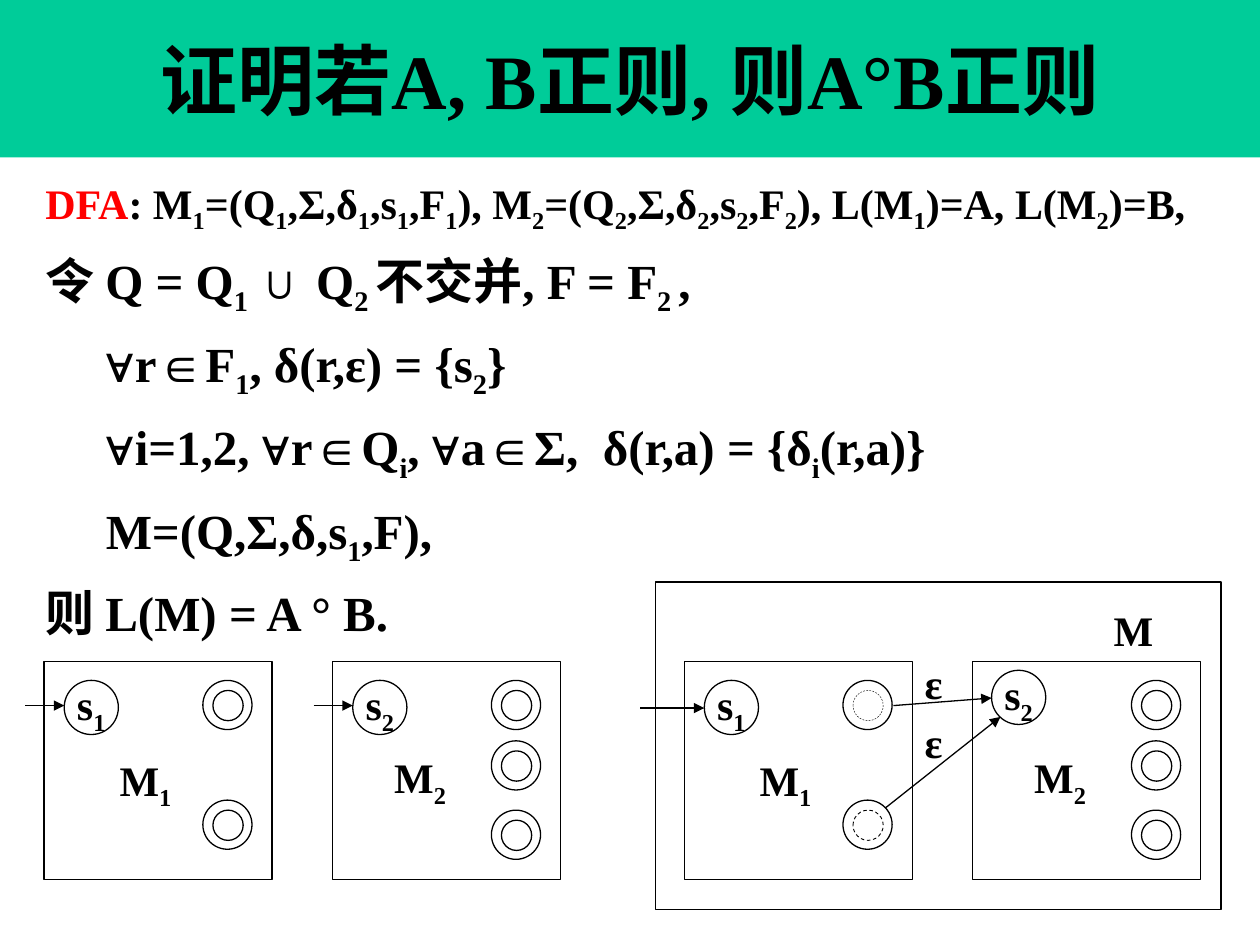
from pptx import Presentation
from pptx import util as u
from pptx.dml import color
from pptx.enum import dml, shapes, text
from pptx.oxml import ns, xmlchemy

FONT = "Times New Roman"
BLACK = "000000"
RECT, OVAL = shapes.MSO_SHAPE.RECTANGLE, shapes.MSO_SHAPE.OVAL
FRAME_SIZE = (1.81, 1.73)
LABEL = dict(word_wrap=False, auto_size=text.MSO_AUTO_SIZE.SHAPE_TO_FIT_TEXT)
INSIDE = dict(word_wrap=False, vertical_anchor=text.MSO_ANCHOR.MIDDLE,
              margin_left=0, margin_top=0, margin_right=0, margin_bottom=0)
BODY_LINES = [
    ("DFA", ": M|1|=(Q|1|,Σ,δ|1|,s|1|,F|1|), M|2|=(Q|2|,Σ,δ|2|,s|2|,F|2|), "
     "L(M|1|)=A, L(M|2|)=B,", 24, 0),
    ("", "令 Q = Q|1 |∪ Q|2 |不交并, F = F|2 |,", 28, 0),
    ("", "∀r∈F|1|, δ(r,ε) = {s|2|}", 28, 0.48),
    ("", "∀i=1,2, ∀r∈Q|i|, ∀a∈Σ,  δ(r,a) = {δ|i|(r,a)}", 28, 0.48),
    ("", "M=(Q,Σ,δ,s|1|,F),", 28, 0.48),
    ("", "则 L(M) = A ° B.", 28, 0),
]


def inches(*values):
    return [u.Inches(value) for value in values]


def rgb(code):
    return color.RGBColor.from_string(code)


def apply(target, values):
    for name, value in values.items():
        setattr(target, name, value)


def add_span(para, words, size, code=BLACK, lowered=False):
    span = para.add_run()
    span.text = words
    apply(span.font, dict(name=FONT, size=u.Pt(size), bold=True))
    span.font.color.rgb = rgb(code)
    if lowered:
        span.font._element.set("baseline", "-25000")


def add_formula(para, formula, size):
    for index, words in enumerate(formula.split("|")):
        if words:
            add_span(para, words, size, lowered=index % 2 == 1)


def add_percent_spacing(para, before, after):
    properties = para._p.get_or_add_pPr()
    for tag, percent in (("a:spcBef", before), ("a:spcAft", after)):
        spacing = xmlchemy.OxmlElement(tag)
        amount = xmlchemy.OxmlElement("a:spcPct")
        amount.set("val", str(percent * 1000))
        spacing.append(amount)
        properties.append(spacing)


def add_label(canvas, left, top, width, height, formula):
    box = canvas.add_textbox(*inches(left, top, width, height))
    apply(box.text_frame, LABEL)
    para = box.text_frame.paragraphs[0]
    para.line_spacing = 1.1 if formula != "ε" else 1.0
    add_formula(para, formula, 24)


def add_outline(canvas, kind, left, top, width, height, weight=0.75, dashed=False):
    shape = canvas.add_shape(kind, *inches(left, top, width, height))
    shape.shadow.inherit = False
    shape.fill.background()
    shape.line.color.rgb = rgb(BLACK)
    shape.line.width = u.Pt(weight)
    if dashed:
        shape.line.dash_style = dml.MSO_LINE.DASH
    return shape


def add_arrow(canvas, *ends):
    arrow = canvas.add_connector(shapes.MSO_CONNECTOR.STRAIGHT, *inches(*ends))
    arrow.line.color.rgb = rgb(BLACK)
    arrow.line.width = u.Pt(0.75)
    head = xmlchemy.OxmlElement("a:tailEnd")
    head.set("type", "triangle")
    arrow.line._get_or_add_ln().append(head)
    arrow._element.find(ns.qn("p:spPr")).append(xmlchemy.OxmlElement("a:effectLst"))


def add_start_state(canvas, left, top, formula):
    state = add_outline(canvas, OVAL, left, top, 0.43, 0.43)
    apply(state.text_frame, INSIDE)
    para = state.text_frame.paragraphs[0]
    para.alignment = text.PP_ALIGN.CENTER
    add_formula(para, formula, 24)


def add_machine(canvas, left, top, number, accept_tops, label_at,
                start_at=(0.16, 0.15), dash_weights=()):
    add_outline(canvas, RECT, left, top, *FRAME_SIZE)
    for index, offset in enumerate(accept_tops):
        x, y = left + 1.26, top + offset
        add_outline(canvas, OVAL, x, y, 0.39, 0.39)
        weight = dash_weights[index] if dash_weights else 0.75
        add_outline(canvas, OVAL, x + 0.08, y + 0.08, 0.24, 0.24, weight, bool(dash_weights))
    add_label(canvas, left + label_at[0], top + label_at[1], 0.68, 0.54, f"M|{number}|")
    add_start_state(canvas, left + start_at[0], top + start_at[1], f"s|{number}|")


def add_first(canvas, left, top, **options):
    add_machine(canvas, left, top, 1, (0.15, 1.1), (0.5, 0.64), **options)


def add_second(canvas, left, top, **options):
    add_machine(canvas, left, top, 2, (0.15, 0.63, 1.18), (0.39, 0.62), **options)


def add_single(page, left, top, add_kind):
    canvas = page.shapes.add_group_shape().shapes
    add_kind(canvas, left, top)
    add_arrow(canvas, left - 0.15, top + 0.35, left + 0.16, top + 0.35)


def add_combined(page, left, top, width, height):
    canvas = page.shapes.add_group_shape().shapes
    add_outline(canvas, RECT, left, top, width, height)
    inner_top = top + 0.63
    add_first(canvas, left + 0.23, inner_top, dash_weights=(0.25, 0.5))
    add_second(canvas, left + 2.52, inner_top, start_at=(0.15, 0.07))
    add_label(canvas, left + 3.54, top + 0.09, 0.57, 0.54, "M")
    for offset in (0.55, 1.02):
        add_label(canvas, left + 2.04, top + offset, 0.43, 0.5, "ε")
    for x1, y1, x2, y2 in ((-0.12, 1, 0.39, 1), (1.89, 0.98, 2.67, 0.92),
                           (1.83, 1.79, 2.74, 1.07)):
        add_arrow(canvas, left + x1, top + y1, left + x2, top + y2)


def place(shape, *box):
    apply(shape, dict(zip(("left", "top", "width", "height"), inches(*box))))


def fill_title(page, *box):
    title = page.shapes.title
    place(title, *box)
    title.fill.solid()
    title.fill.fore_color.rgb = rgb("00CC99")
    apply(title.text_frame, dict(vertical_anchor=text.MSO_ANCHOR.MIDDLE,
                                 auto_size=text.MSO_AUTO_SIZE.NONE))
    para = title.text_frame.paragraphs[0]
    para.alignment = text.PP_ALIGN.CENTER
    add_span(para, "证明若A, B正则, 则A°B正则", 44)


def fill_body(page, *box):
    body = page.placeholders[1]
    place(body, *box)
    frame = body.text_frame
    apply(frame, dict(word_wrap=True, auto_size=text.MSO_AUTO_SIZE.NONE))
    for index, (lead, formula, size, indent) in enumerate(BODY_LINES):
        para = frame.add_paragraph() if index else frame.paragraphs[0]
        para.line_spacing = 1.1
        add_percent_spacing(para, 10 if index else 0, 10)
        properties = para._p.get_or_add_pPr()
        properties.set("marL", str(u.Inches(indent)))
        properties.set("indent", "0")
        properties.append(xmlchemy.OxmlElement("a:buNone"))
        if lead:
            add_span(para, lead, size, "FF0000")
        add_formula(para, formula, size)


def main():
    deck = Presentation()
    deck.slide_width, deck.slide_height = inches(10, 7.5)
    page = deck.slides.add_slide(deck.slide_layouts[1])
    fill_title(page, 0, 0, 10, 1.25)
    fill_body(page, 0.26, 1.31, 9.8, 3.6)
    add_single(page, 0.35, 5.25, add_first)
    add_single(page, 2.64, 5.25, add_second)
    add_combined(page, 5.2, 4.62, 4.49, 2.6)
    deck.save("out.pptx")


if __name__ == "__main__":
    main()
